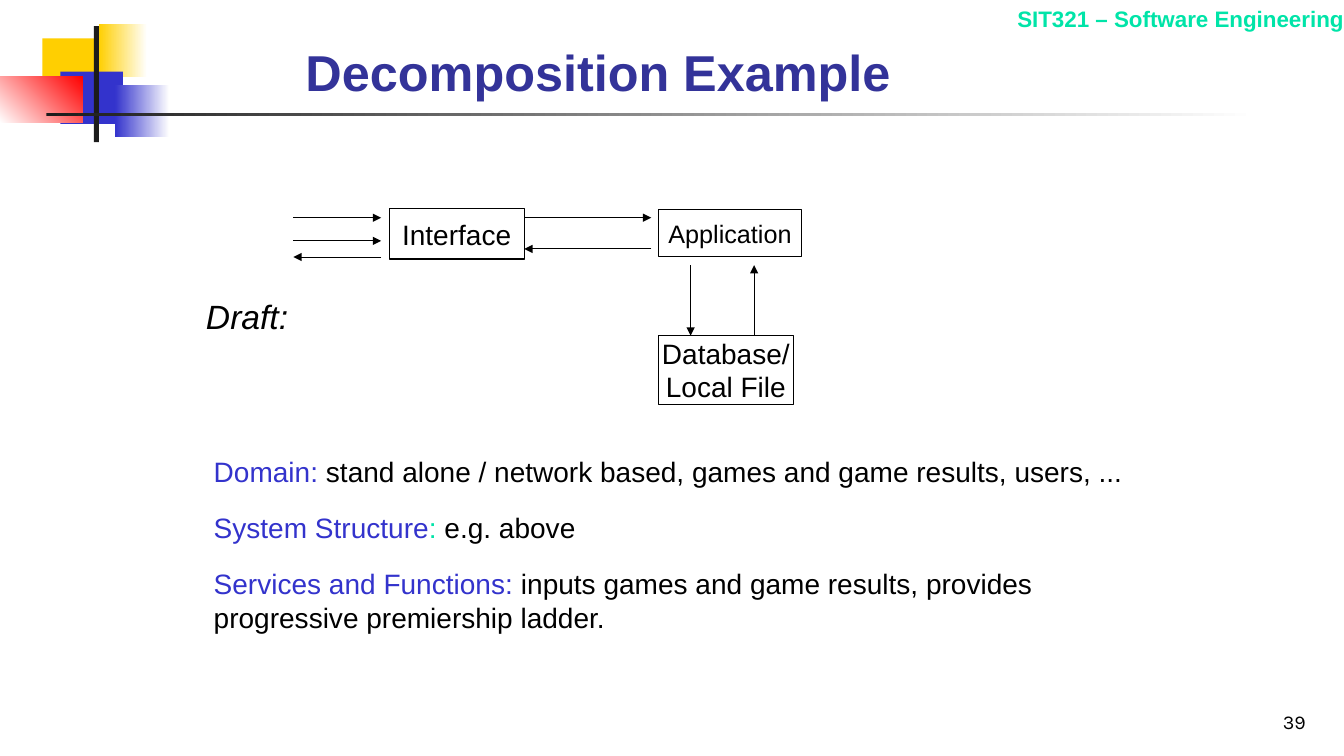
import pptx
import pptx.util
import pptx.dml.color
import pptx.enum.dml
import pptx.enum.shapes
import pptx.enum.text
import lxml.etree
from pptx.util import Inches

COLORS = {"yellow": "FFCF01", "blue": "3333CC", "red": "FF0000", "ink": "1C1C1C",
          "white": "FFFFFF", "black": "000000", "mint": "00E4A8", "title": "333399"}
ALIGN = pptx.enum.text.PP_ALIGN
ANCHOR = pptx.enum.text.MSO_ANCHOR
RECT = pptx.enum.shapes.MSO_SHAPE.RECTANGLE


def rgb(name):
    return pptx.dml.color.RGBColor.from_string(COLORS[name])


def write(sp, runs, size, align=ALIGN.LEFT, anchor=ANCHOR.TOP, margins=(0, 0, 0, 0),
          wrap=True, font="Arial", **style):
    tf = sp.text_frame
    left, top, right, bottom = map(Inches, margins)
    frame = {"word_wrap": wrap, "vertical_anchor": anchor, "margin_left": left,
             "margin_top": top, "margin_right": right, "margin_bottom": bottom,
             "auto_size": pptx.enum.text.MSO_AUTO_SIZE.NONE}
    for key, value in frame.items():
        setattr(tf, key, value)
    p = tf.paragraphs[0]
    p.alignment = align
    for text, color in runs:
        r = p.add_run()
        r.text = text
        for key, value in {"name": font, "size": pptx.util.Pt(size), **style}.items():
            setattr(r.font, key, value)
        r.font.color.rgb = rgb(color)


def add_text(s, box, runs, size, **options):
    sp = s.shapes.add_textbox(*map(Inches, box))
    write(sp, runs, size, **options)


def add_rect(s, box):
    sp = s.shapes.add_shape(RECT, *map(Inches, box))
    sp.shadow.inherit = False
    return sp


def add_block(s, box, colors, angle=0):
    sp = add_rect(s, box)
    sp.line.fill.background()
    if len(colors) == 1:
        sp.fill.solid()
        sp.fill.fore_color.rgb = rgb(colors[0])
        return
    sp.fill.gradient()
    sp.fill.gradient_angle = angle
    for stop, color in zip(sp.fill.gradient_stops, colors):
        stop.color.rgb = rgb(color)


def add_decoration(s, x, y):
    blocks = [
        (0.42, 0.14, 0.64, 0.52, ["yellow"], 0),
        (0.98, 0, 0.48, 0.52, ["yellow", "white"], 0),
        (0.6, 0.47, 0.62, 0.52, ["blue"], 0),
        (1.14, 0.6, 0.54, 0.52, ["blue", "white"], 0),
        (0, 0.52, 0.82, 0.46, ["white", "red"], 45),
        (0.93, 0.02, 0.05, 1.15, ["ink"], 0),
        (0.46, 0.88, 12, 0.03, ["ink", "white"], 0),
    ]
    for left, top, width, height, colors, angle in blocks:
        add_block(s, (x + left, y + top, width, height), colors, angle)


def add_title(s, box):
    sp = s.shapes.title
    for key, value in zip(("left", "top", "width", "height"), box):
        setattr(sp, key, Inches(value))
    write(sp, [("Decomposition Example", "title")], 36, anchor=ANCHOR.BOTTOM,
          margins=(0.1, 0.05, 0.1, 0.06), bold=True)


def add_arrow(s, x1, y1, x2, y2):
    cx = s.shapes.add_connector(pptx.enum.shapes.MSO_CONNECTOR.STRAIGHT,
                                *map(Inches, (x1, y1, x2, y2)))
    cx.line.color.rgb = rgb("black")
    cx.line.width = pptx.util.Pt(0.75)
    ln = cx.line._get_or_add_ln()
    lxml.etree.SubElement(ln, pptx.oxml.ns.qn("a:tailEnd"), type="triangle")
    lxml.etree.SubElement(cx._element.spPr, pptx.oxml.ns.qn("a:effectLst"))


def add_diagram(s, x, y):
    nodes = [
        ("Interface", 0.95, 0, 1.34, 0.5, 20, 0.08),
        ("Application", 3.62, 0.01, 1.42, 0.47, 18, 0.08),
        ("Database/Local File", 3.62, 1.26, 1.34, 0.68, 20, 0),
    ]
    for text, left, top, width, height, size, margin in nodes:
        sp = add_rect(s, (x + left, y + top, width, height))
        sp.fill.background()
        sp.line.color.rgb = rgb("black")
        sp.line.width = pptx.util.Pt(0.75)
        write(sp, [(text, "black")], size, align=ALIGN.CENTER, anchor=ANCHOR.MIDDLE,
              margins=(margin,) * 4)
    arrows = [
        (0, 0.09, 0.87, 0.09), (0, 0.32, 0.87, 0.32), (0.87, 0.48, 0, 0.48),
        (2.29, 0.09, 3.55, 0.09), (3.55, 0.4, 2.29, 0.4),
        (3.94, 0.56, 3.94, 1.26), (4.57, 1.26, 4.57, 0.56),
    ]
    for x1, y1, x2, y2 in arrows:
        add_arrow(s, x + x1, y + y1, x + x2, y + y2)


def add_notes_on_draft(s, x, y, width):
    entries = [
        (0.33, [("Domain:", "blue"),
                (" stand alone / network based, games and game results, users, ...", "black")]),
        (0.33, [("System Structure", "blue"), (":", "mint"), (" e.g. above", "black")]),
        (0.67, [("Services and Functions:", "blue"),
                (" inputs games and game results, provides progressive premiership ladder.",
                 "black")]),
    ]
    for i, (height, runs) in enumerate(entries):
        add_text(s, (x, y + i * 0.555, width, height), runs, 20)


def build_slide(prs):
    s = prs.slides.add_slide(prs.slide_layouts[5])
    add_decoration(s, 0, 0.24)
    add_text(s, (8.03, 0, 5.3, 0.37), [("SIT321 – Software Engineering", "mint")], 16,
             align=ALIGN.RIGHT, margins=(0.1, 0.05, 0, 0.05), bold=True)
    add_text(s, (10.27, 6.83, 2.78, 0.5), [("39", "black")], 14, align=ALIGN.RIGHT,
             anchor=ANCHOR.BOTTOM, margins=(0.1, 0.05, 0.1, 0.05), font="Karla")
    add_title(s, (2.93, 0.23, 8.52, 0.84))
    add_diagram(s, 2.91, 2.07)
    add_text(s, (2.04, 2.94, 0.82, 0.4), [("Draft:", "black")], 24, align=ALIGN.CENTER,
             anchor=ANCHOR.MIDDLE, wrap=False, italic=True)
    add_notes_on_draft(s, 2.12, 4.51, 9.3)


def main():
    prs = pptx.Presentation()
    prs.slide_width, prs.slide_height = Inches(13.33), Inches(7.5)
    build_slide(prs)
    prs.save("out.pptx")


if __name__ == "__main__":
    main()
